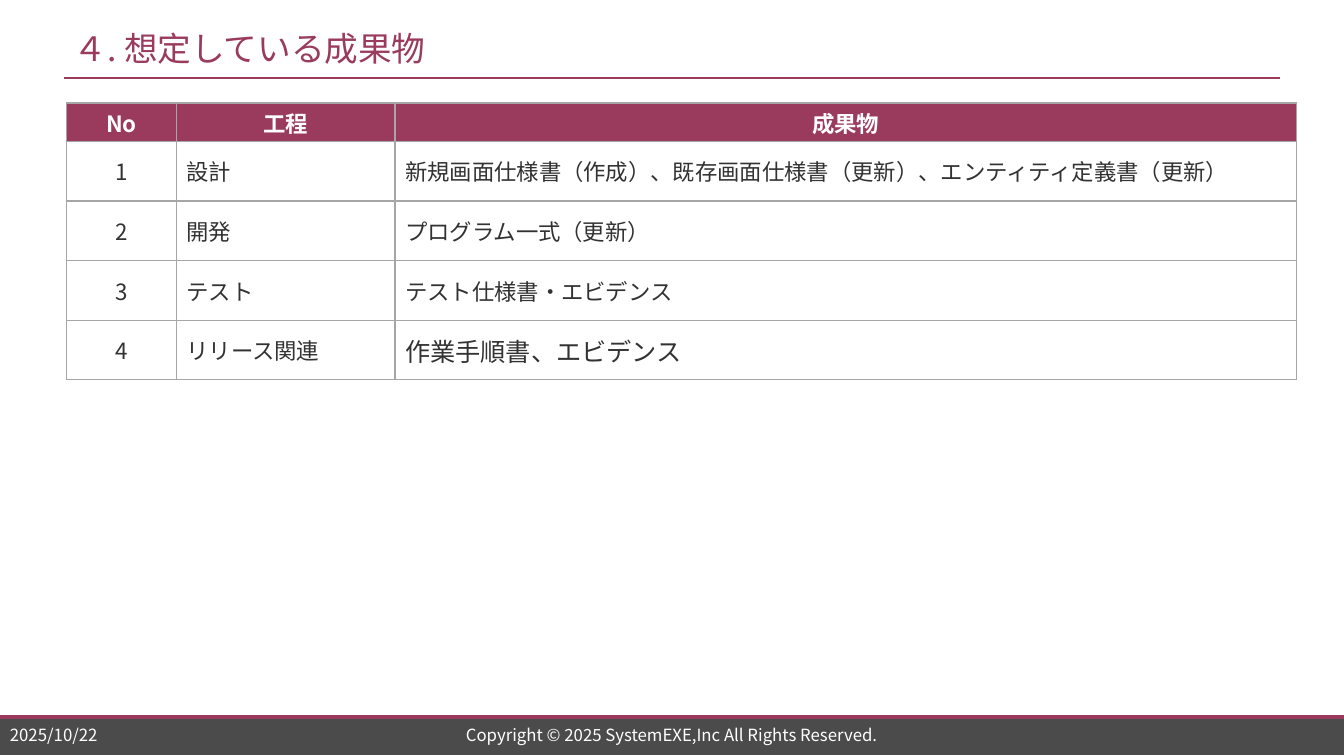
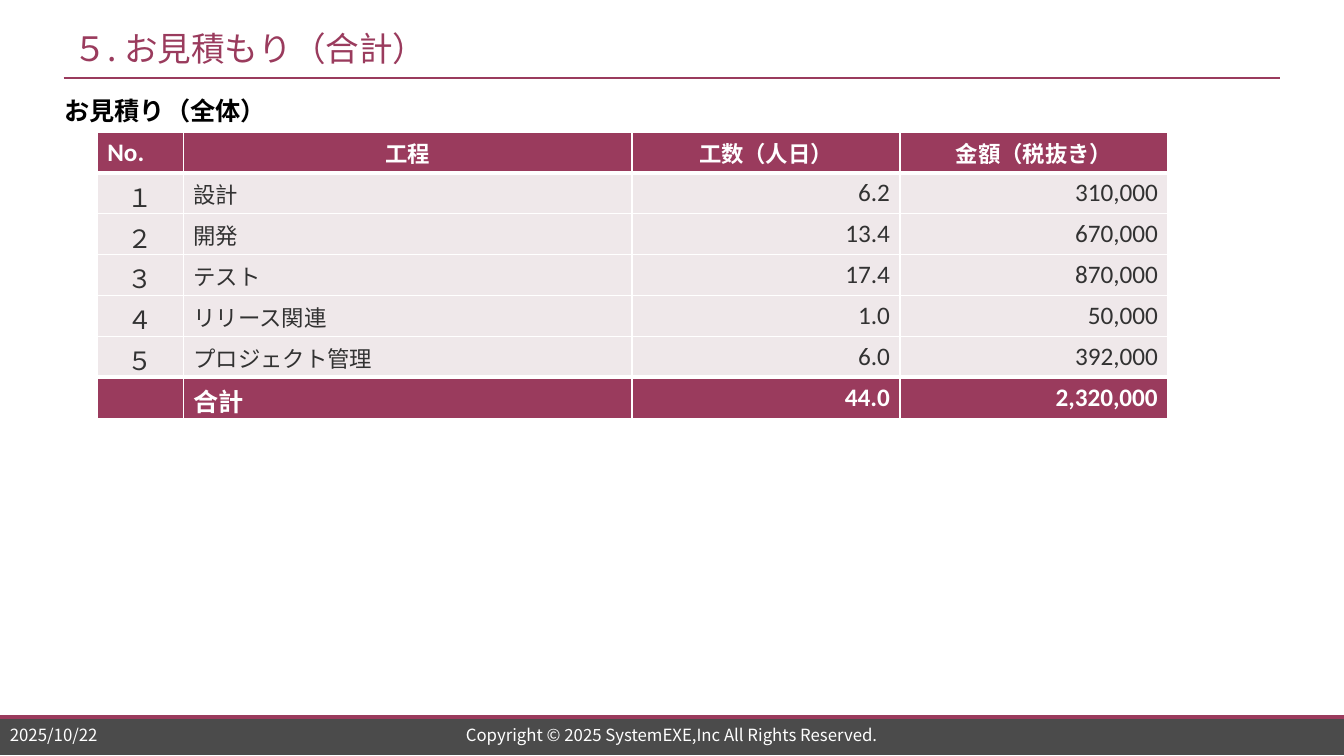
from lxml import etree
from pptx import Presentation
from pptx.dml.color import RGBColor
from pptx.enum.shapes import MSO_CONNECTOR, MSO_SHAPE
from pptx.enum.text import MSO_ANCHOR, PP_ALIGN
from pptx.oxml.ns import qn
from pptx.util import Pt

LEFT, CENTER, RIGHT = PP_ALIGN.LEFT, PP_ALIGN.CENTER, PP_ALIGN.RIGHT
TOP, MIDDLE = MSO_ANCHOR.TOP, MSO_ANCHOR.MIDDLE
RECT, STRAIGHT = MSO_SHAPE.RECTANGLE, MSO_CONNECTOR.STRAIGHT
TITLE_ONLY = 5
NOTO, CALIBRI = "Noto Sans CJK JP", "Calibri"
WIDTH, HEIGHT = 960, 540
C = {"wine": "9A3B5D", "bar": "4B4B4B", "white": "FFFFFF", "text": "323232",
     "grid": "A6A6A6", "row": "EFE8EA", "black": "000000"}


def rgb(name):
    return RGBColor.from_string(C[name])


def write(tf, text, size=16, font=NOTO, color="text", bold=False, align=LEFT):
    """Put one formatted paragraph into a text frame."""
    p = tf.paragraphs[0]
    p.alignment = align
    if not text:
        return
    r = p.add_run()
    r.text = text
    f = r.font
    f.size, f.name, f.bold = Pt(size), font, bold
    f.color.rgb = rgb(color)
    # East Asian glyphs always come from the same typeface
    latin = r._r.get_or_add_rPr().find(qn("a:latin"))
    ea = etree.Element(qn("a:ea"), typeface=NOTO)
    latin.addnext(ea)


def set_borders(cell, color, widths):
    """Draw the left, right, top and bottom edges of a cell."""
    tcPr = cell._tc.get_or_add_tcPr()
    for i, edge in enumerate(("L", "R", "T", "B")):
        ln = etree.Element(qn("a:ln" + edge), w=str(Pt(widths.get(edge, 1))))
        fill = etree.SubElement(ln, qn("a:solidFill"))
        etree.SubElement(fill, qn("a:srgbClr"), val=C[color])
        tcPr.insert(i, ln)


class Deck:
    def __init__(self):
        self.prs = Presentation()
        self.prs.slide_width, self.prs.slide_height = Pt(WIDTH), Pt(HEIGHT)
        self.s = None

    def slide(self, title):
        """Start a slide with the shared title, rules and footer."""
        self.s = self.prs.slides.add_slide(self.prs.slide_layouts[TITLE_ONLY])
        self.bar(0, 511.2, WIDTH, 28.1, "bar")
        self.rule(0, WIDTH, 511.9, 2.75)
        self.rule(45.4, 914.4, 55.8, 1.5)
        sp = self.s.shapes.title
        sp.left, sp.top, sp.width, sp.height = Pt(45.4), Pt(14.4), Pt(869), Pt(39.6)
        tf = sp.text_frame
        tf.word_wrap, tf.vertical_anchor = False, MIDDLE
        write(tf, title, size=24, color="wine")
        footer = dict(anchor=MIDDLE, size=12, color="white")
        self.text(0, 516.2, 113, 17.3, "2025/10/22", **footer)
        self.text(239, 516.2, 481.7, 17.3,
                  "Copyright © 2025 SystemEXE,Inc All Rights Reserved.",
                  align=CENTER, **footer)

    def bar(self, x, y, w, h, color):
        sp = self.s.shapes.add_shape(RECT, Pt(x), Pt(y), Pt(w), Pt(h))
        sp.shadow.inherit = False
        sp.fill.solid()
        sp.fill.fore_color.rgb = rgb(color)
        sp.line.fill.background()

    def rule(self, x1, x2, y, weight):
        ln = self.s.shapes.add_connector(STRAIGHT, Pt(x1), Pt(y), Pt(x2), Pt(y))
        ln.line.color.rgb = rgb("wine")
        ln.line.width = Pt(weight)
        etree.SubElement(ln._element.spPr, qn("a:effectLst"))

    def text(self, x, y, w, h, text, anchor=TOP, **fmt):
        tf = self.s.shapes.add_textbox(Pt(x), Pt(y), Pt(w), Pt(h)).text_frame
        tf.word_wrap, tf.vertical_anchor = True, anchor
        write(tf, text, **fmt)

    def table(self, x, y, widths, heights, rows, border, style):
        """Build a table; style(row, column) returns the format of a cell."""
        tbl = self.s.shapes.add_table(len(rows), len(widths), Pt(x), Pt(y),
                                      Pt(sum(widths)), Pt(sum(heights))).table
        tbl.first_row = tbl.horz_banding = False
        for col, w in zip(tbl.columns, widths):
            col.width = Pt(w)
        for i, (row, h) in enumerate(zip(rows, heights)):
            tbl.rows[i].height = Pt(h)
            for j, value in enumerate(row):
                self.cell(tbl.cell(i, j), value, border, **style(i, j))

    def cell(self, cell, value, border, fill=None, anchor=MIDDLE, inset=None,
             edges=None, **fmt):
        cell.vertical_anchor = anchor
        if inset is not None:
            cell.margin_left = cell.margin_right = Pt(inset)
            cell.margin_top = cell.margin_bottom = Pt(inset)
        if fill:
            cell.fill.solid()
            cell.fill.fore_color.rgb = rgb(fill)
        else:
            cell.fill.background()
        set_borders(cell, border, edges or {})
        write(cell.text_frame, value, **fmt)


HEADER = dict(fill="wine", color="white", bold=True)


def deliverable_style(i, j):
    if i == 0:
        return dict(HEADER, align=CENTER, inset=2.9)
    if j == 0:
        return dict(align=CENTER, inset=2.9)
    return dict(size=18, font=CALIBRI) if (i, j) == (4, 2) else {}


def estimate_style(i, j):
    large = dict(size=18, font=CALIBRI, anchor=TOP)
    if i == 0:
        look = large if j == 0 else dict(align=CENTER, inset=0.7)
        return dict(HEADER, edges={"B": 3}, **look)
    if i == 6:
        return dict(HEADER, edges={"T": 3}, align=RIGHT if j > 1 else LEFT,
                    **large)
    edges = {1: {"T": 3}, 5: {"B": 3}}.get(i)
    look = {} if j == 1 else dict(large, align=RIGHT if j else CENTER)
    return dict(fill="row", edges=edges, **look)


def main():
    deck = Deck()

    # Deliverables
    deck.slide("４. 想定している成果物")
    deliverables = [
        ("No", "工程", "成果物"),
        ("1", "設計", "新規画面仕様書（作成）、既存画面仕様書（更新）、エンティティ定義書（更新）"),
        ("2", "開発", "プログラム一式（更新）"),
        ("3", "テスト", "テスト仕様書・エビデンス"),
        ("4", "リリース関連", "作業手順書、エビデンス"),
    ]
    deck.table(47.5, 73.6, (78.5, 156.2, 644), [27.4] + [42.6] * 4,
               deliverables, "grid", deliverable_style)

    # Estimate
    deck.slide("５. お見積もり（合計）")
    estimate = [
        ("No.", "工程", "工数（人日）", "金額（税抜き）"),
        ("１", "設計", "6.2", "310,000"),
        ("２", "開発", "13.4", "670,000"),
        ("３", "テスト", "17.4", "870,000"),
        ("４", "リリース関連", "1.0", "50,000"),
        ("５", "プロジェクト管理", "6.0", "392,000"),
        ("", "合計", "44.0", "2,320,000"),
    ]
    deck.table(69.5, 94.3, (61.6, 320.4, 191.4, 191.4), [29.2] * 7,
               estimate, "white", estimate_style)
    deck.text(38.9, 64.8, 332.6, 29, "お見積り（全体）", size=18, font=CALIBRI,
              color="black", bold=True)

    deck.prs.save("out.pptx")


if __name__ == "__main__":
    main()
